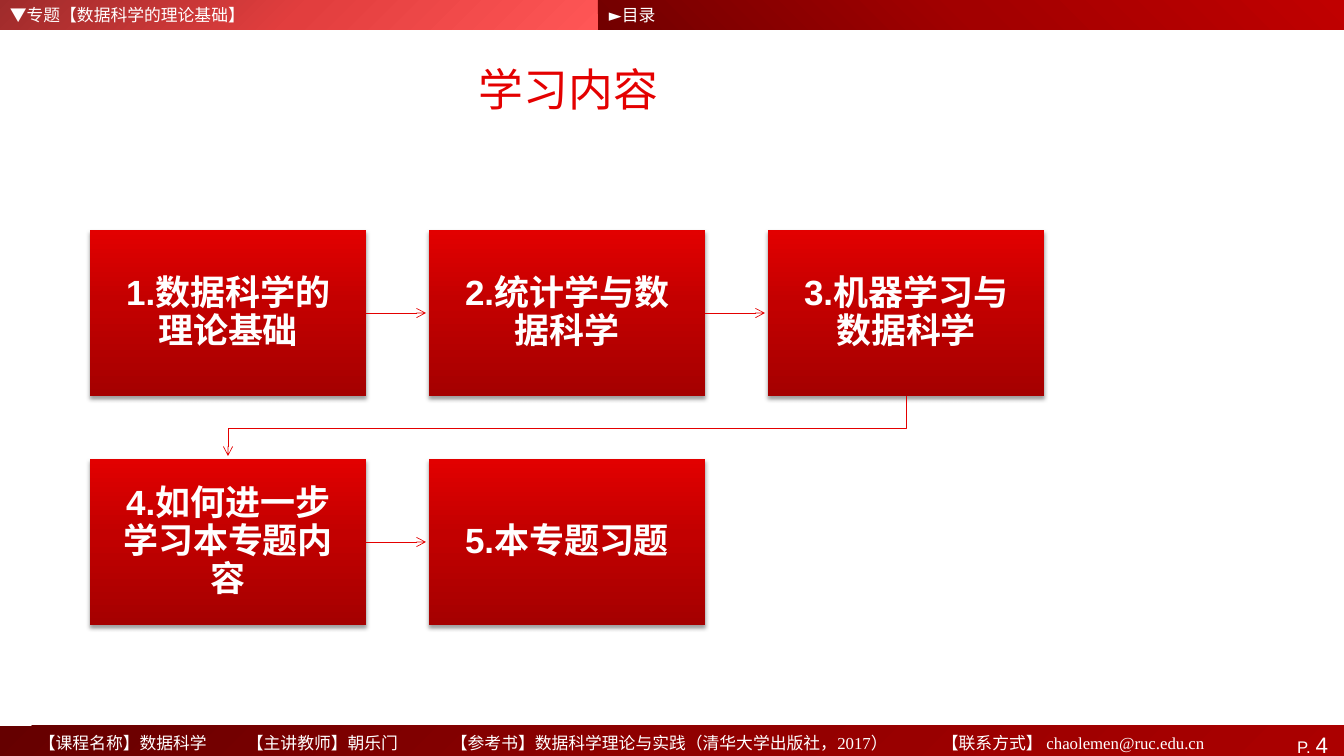
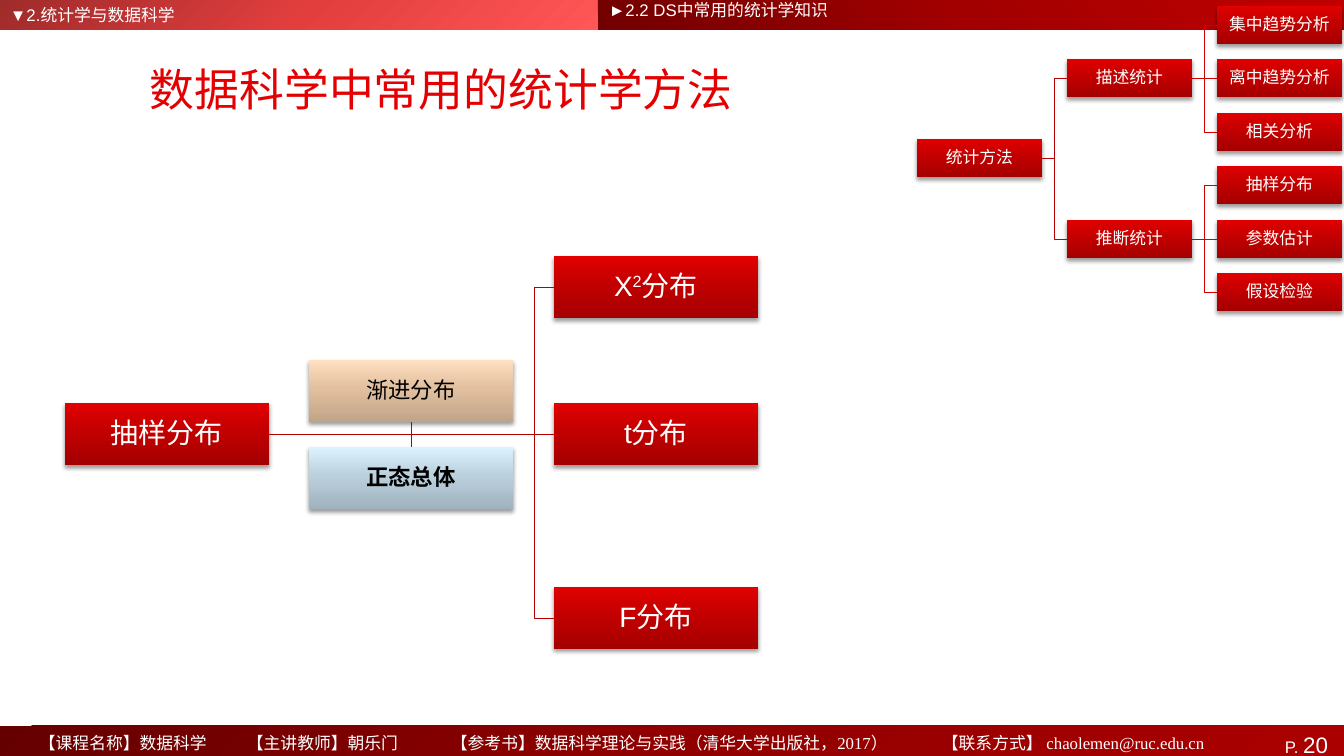
import lxml.etree
import pptx
import pptx.dml.color
import pptx.enum.shapes
import pptx.enum.text
import pptx.oxml.ns
import pptx.util

RGB = pptx.dml.color.RGBColor
ALIGN = pptx.enum.text.PP_ALIGN
ANCHOR = pptx.enum.text.MSO_ANCHOR
qn = pptx.oxml.ns.qn

PX = 914400 / 100.8
SLIDE_W, SLIDE_H = 1344, 756
BAND_H = 30
FOOTER_TOP = SLIDE_H - BAND_H
SPLIT = 598

WHITE = RGB(0xFF, 0xFF, 0xFF)
BLACK = RGB(0, 0, 0)
RED = RGB(0xE4, 0, 0)
BRANCH = RGB(0xB7, 0, 0)
TWIG = RGB(0xCF, 0, 0)
RED_FILL = (RGB(0xA5, 0, 0), RGB(0xC2, 0, 0), RGB(0xE2, 0, 0))
SAND_FILL = (RGB(0xC0, 0xA4, 0x87), RGB(0xE2, 0xC0, 0x9F), RGB(0xFF, 0xE0, 0xC1))
ICE_FILL = (RGB(0x9F, 0xB2, 0xBD), RGB(0xBB, 0xD1, 0xDE), RGB(0xDD, 0xF2, 0xFF))
TOPIC_FILL = (RGB(0x9F, 0x2B, 0x2B), RGB(0xE2, 0x3E, 0x3E), RGB(0xFF, 0x56, 0x56))
SECTION_FILL = (RGB(0x72, 0, 0), RGB(0xA2, 0, 0), RGB(0xC0, 0, 0))
FOOTER_FILL = (RGB(0x65, 0, 0), RGB(0x90, 0, 0), RGB(0xAB, 0, 0))

CJK = "Noto Sans CJK SC"
FOOTER_PARTS = (
    "【课程名称】数据科学",
    "【主讲教师】朝乐门",
    "【参考书】数据科学理论与实践（清华大学出版社，2017）",
    "【联系方式】 chaolemen@ruc.edu.cn",
)
FOOTER_TABS = (208, 412, 903)


def px(value):
    return pptx.util.Emu(round(value * PX))


def set_format(target, values):
    for key, value in values.items():
        setattr(target, key, value)


def add_run(paragraph, text, size, color=WHITE, name="Arial", bold=False, baseline=0):
    run = paragraph.add_run()
    run.text = text
    set_format(run.font, {"size": pptx.util.Pt(size), "name": name, "bold": bold})
    run.font.color.rgb = color
    props = run.font._element
    lxml.etree.SubElement(props, qn("a:ea")).set("typeface", CJK)
    if baseline:
        props.set("baseline", str(baseline * 1000))


def fill_gradient(shape, colors, angle, middle):
    shape.fill.gradient()
    gradient = shape._element.spPr.find(qn("a:gradFill"))
    stops = gradient.find(qn("a:gsLst"))
    for stop in list(stops):
        stops.remove(stop)
    for position, color in zip((0, middle, 100), colors):
        stop = lxml.etree.SubElement(stops, qn("a:gs"), pos=str(position * 1000))
        lxml.etree.SubElement(stop, qn("a:srgbClr"), val=str(color))
    gradient.find(qn("a:lin")).set("ang", str(angle * 60000))


def add_rectangle(slide, box, colors, angle, middle):
    shape = slide.shapes.add_shape(
        pptx.enum.shapes.MSO_SHAPE.RECTANGLE, *map(px, box))
    shape.shadow.inherit = False
    shape.line.fill.background()
    fill_gradient(shape, colors, angle, middle)
    return shape


def add_card(slide, box, runs, size, inset=1, colors=RED_FILL, color=WHITE, bold=False):
    card = add_rectangle(slide, box, colors, 270, 55)
    effects = card._element.spPr.find(qn("a:effectLst"))
    shadow = lxml.etree.SubElement(
        effects, qn("a:outerShdw"), blurRad="39370", dist="25400",
        dir="5400000", rotWithShape="0")
    tint = lxml.etree.SubElement(shadow, qn("a:srgbClr"), val="000000")
    lxml.etree.SubElement(tint, qn("a:alpha"), val="38000")
    margins = {f"margin_{side}": px(inset) for side in ("left", "top", "right", "bottom")}
    set_format(card.text_frame, {
        "word_wrap": True, "vertical_anchor": ANCHOR.MIDDLE, **margins})
    paragraph = card.text_frame.paragraphs[0]
    set_format(paragraph, {
        "alignment": ALIGN.CENTER, "line_spacing": 0.9,
        "space_after": pptx.util.Pt(round(size * 0.35))})
    for text, baseline in runs:
        add_run(paragraph, text, size, color, bold=bold, baseline=baseline)
    return card


def add_label(slide, box):
    label = slide.shapes.add_textbox(*map(px, box))
    set_format(label.text_frame, {"word_wrap": True, "vertical_anchor": ANCHOR.TOP})
    return label


def style_line(shape, color, arrow):
    shape.line.width = pptx.util.Pt(0.5)
    shape.line.color.rgb = color
    if arrow:
        lxml.etree.SubElement(shape.line._get_or_add_ln(), qn("a:tailEnd"), type="arrow")


def add_straight(slide, start, end, color, arrow=False):
    link = slide.shapes.add_connector(
        pptx.enum.shapes.MSO_CONNECTOR.STRAIGHT, *map(px, start + end))
    style_line(link, color, arrow)
    lxml.etree.SubElement(link._element.spPr, qn("a:effectLst"))
    return link


def add_bend(slide, points, color, arrow=False):
    corners = [tuple(map(px, point)) for point in points]
    builder = slide.shapes.build_freeform(*corners[0])
    builder.add_line_segments(corners[1:], close=False)
    bend = builder.convert_to_shape()
    bend.fill.background()
    bend.shadow.inherit = False
    style_line(bend, color, arrow)


def add_branch(slide, parent, child, bend_x, color):
    right = (parent.left + parent.width) / PX
    left = child.left / PX
    start_y, end_y = ((card.top + card.height / 2) / PX for card in (parent, child))
    if parent.top == child.top:
        link = add_straight(slide, (right, start_y), (left, end_y), color)
        link.begin_connect(parent, 3)
        link.end_connect(child, 1)
    else:
        add_bend(slide, [(right, start_y), (bend_x, start_y),
                         (bend_x, end_y), (left, end_y)], color)


def build_layout_bands(slide, layout):
    bands = [
        add_rectangle(slide, (0, 0, SPLIT, BAND_H), TOPIC_FILL, 45, 50),
        add_rectangle(slide, (0, FOOTER_TOP, SLIDE_W, BAND_H), FOOTER_FILL, 45, 50),
        add_rectangle(slide, (SPLIT, 0, SLIDE_W - SPLIT, BAND_H), SECTION_FILL, 315, 50),
    ]
    course = add_label(slide, (29, FOOTER_TOP + 2, 1236, 28))
    paragraph = course.text_frame.paragraphs[0]
    tabs = lxml.etree.SubElement(paragraph._p.get_or_add_pPr(), qn("a:tabLst"))
    for tab in FOOTER_TABS:
        lxml.etree.SubElement(tabs, qn("a:tab"), pos=str(px(tab)), algn="l")
    add_run(paragraph, "\t".join(FOOTER_PARTS), 12, name="Times New Roman")
    for number, part in enumerate(bands + [course], 100):
        part._element.nvSpPr.cNvPr.set("id", str(number))
        layout.shapes._spTree.append(part._element)


def write_headings(slide, title, title_width, topic, section, section_height, page):
    heading = slide.shapes.title
    set_format(heading, {"left": px(44), "top": px(43),
                         "width": px(title_width), "height": px(91)})
    set_format(heading.text_frame, {"word_wrap": True, "vertical_anchor": ANCHOR.MIDDLE})
    paragraph = heading.text_frame.paragraphs[0]
    paragraph.alignment = ALIGN.CENTER
    add_run(paragraph, title, 32, RED, CJK)
    for text, box in ((topic, (0, 0, 487, 29)),
                      (section, (SPLIT + 1, 0, 375, section_height))):
        add_run(add_label(slide, box).text_frame.paragraphs[0], text, 12)
    number = add_label(slide, (SLIDE_W - 120, FOOTER_TOP, 120, BAND_H))
    number.text_frame.margin_right = px(16)
    paragraph = number.text_frame.paragraphs[0]
    paragraph.alignment = ALIGN.RIGHT
    add_run(paragraph, "P. ", 12)
    add_run(paragraph, str(page), 16)


def build_learning_path(slide, left, top):
    width, height, step_x, step_y, columns = 276, 166, 339, 229, 3
    topics = ("1.数据科学的理论基础", "2.统计学与数据科学", "3.机器学习与数据科学",
              "4.如何进一步学习本专题内容", "5.本专题习题")
    for index, topic in enumerate(topics):
        row, column = divmod(index, columns)
        x, y = left + column * step_x, top + row * step_y
        card = add_card(slide, (x, y, width, height), [(topic, 0)], 25, 19, bold=True)
        if index == len(topics) - 1:
            continue
        if column < columns - 1:
            middle = y + height / 2
            arrow = add_straight(slide, (x + width, middle), (x + step_x - 3, middle), RED, True)
            arrow.begin_connect(card, 3)
        else:
            start_x, end_x = x + width / 2, left + width / 2
            turn = y + height + 32
            add_bend(slide, [(start_x, y + height), (start_x, turn),
                             (end_x, turn), (end_x, y + step_y - 3)], RED, True)


def build_sampling_tree(slide, left, top):
    width, height = 204, 62
    root = add_card(slide, (left, top + 147, width, height), [("抽样分布", 0)], 20)
    distributions = (
        (0, [("X", 0), ("2", 30), ("分布", 0)]),
        (147, [("t分布", 0)]),
        (331, [("F分布", 0)]),
    )
    for offset, runs in distributions:
        card = add_card(slide, (left + 489, top + offset, width, height), runs, 20)
        add_branch(slide, root, card, left + 469, BRANCH)
    asymptotic, normal = (
        add_card(slide, (left + 244, top + offset, width, height), [(text, 0)], 16,
                 colors=colors, color=BLACK, bold=bold)
        for offset, text, colors, bold in (
            (104, "渐进分布", SAND_FILL, False), (191, "正态总体", ICE_FILL, True)))
    link = add_straight(slide, (left + 346, top + 166), (left + 346, top + 191), BRANCH)
    link.begin_connect(asymptotic, 2)
    link.end_connect(normal, 0)


def build_methods_tree(slide, left, top):
    width, height, gap = 125, 38, 25

    def add_node(text, level, slot):
        x = left + level * (width + gap)
        return add_card(slide, (x, top + int(slot * 53.5), width, height), [(text, 0)], 12)

    def join(parent, child, color):
        add_branch(slide, parent, child, child.left / PX - gap / 2, color)

    root = add_node("统计方法", 0, 2.5)
    groups = (("描述统计", ("集中趋势分析", "离中趋势分析", "相关分析")),
              ("推断统计", ("抽样分布", "参数估计", "假设检验")))
    for group_index, (group, methods) in enumerate(groups):
        first = group_index * len(methods)
        branch = add_node(group, 1, first + 1)
        join(root, branch, BRANCH)
        for offset, method in enumerate(methods):
            join(branch, add_node(method, 2, first + offset), TWIG)


def main():
    deck = pptx.Presentation()
    set_format(deck, {"slide_width": px(SLIDE_W), "slide_height": px(SLIDE_H)})
    layout = deck.slide_layouts[5]

    contents = deck.slides.add_slide(layout)
    build_layout_bands(contents, layout)
    write_headings(contents, "学习内容", 1049, "▼专题【数据科学的理论基础】", "►目录", 29, 4)
    build_learning_path(contents, 90, 230)

    methods = deck.slides.add_slide(layout)
    write_headings(methods, "数据科学中常用的统计学方法", 795, "▼2.统计学与数据科学",
                   "►2.2 DS中常用的统计学知识", 5, 20)
    build_sampling_tree(methods, 65, 256)
    build_methods_tree(methods, 917, 6)

    deck.save("out.pptx")


if __name__ == "__main__":
    main()
